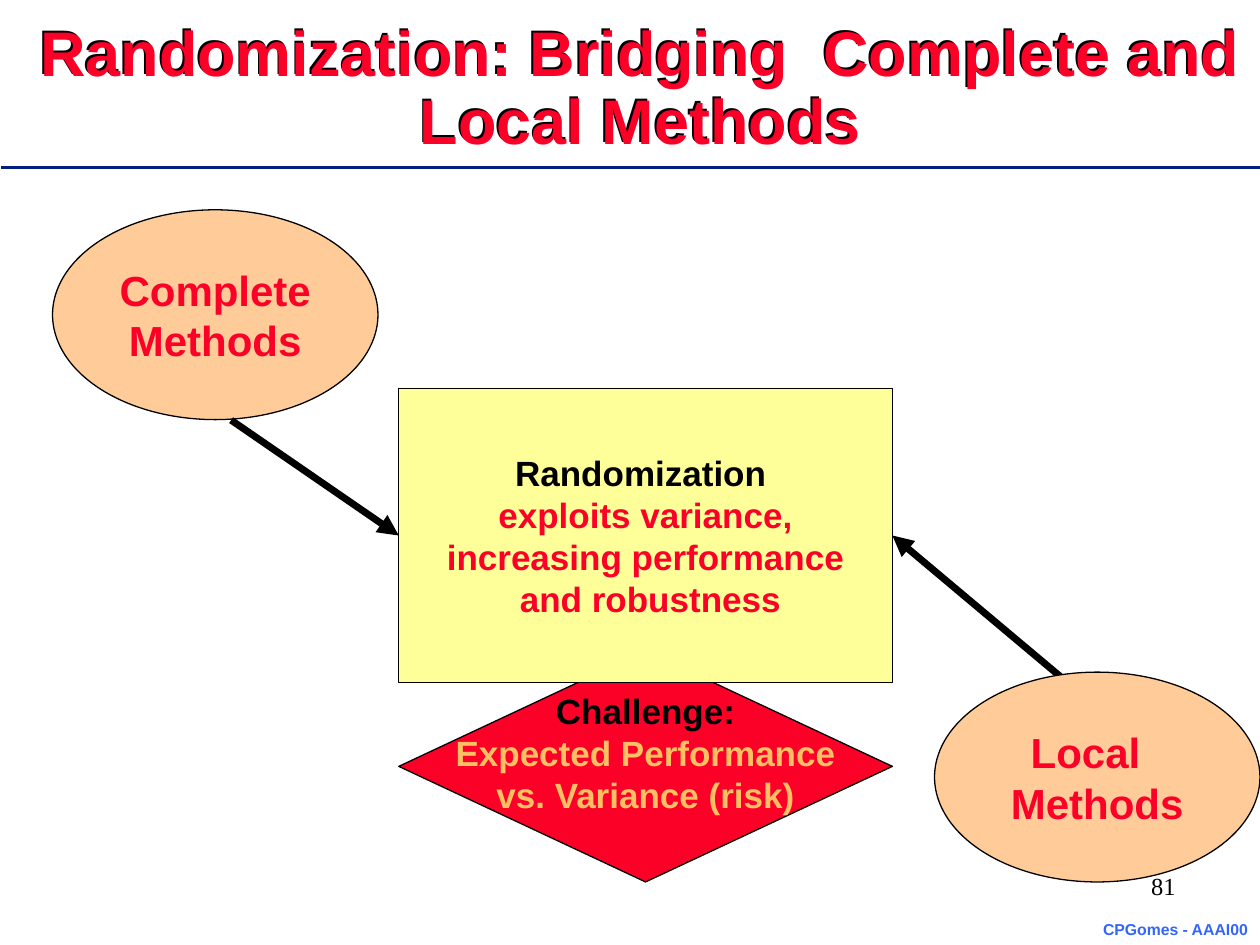
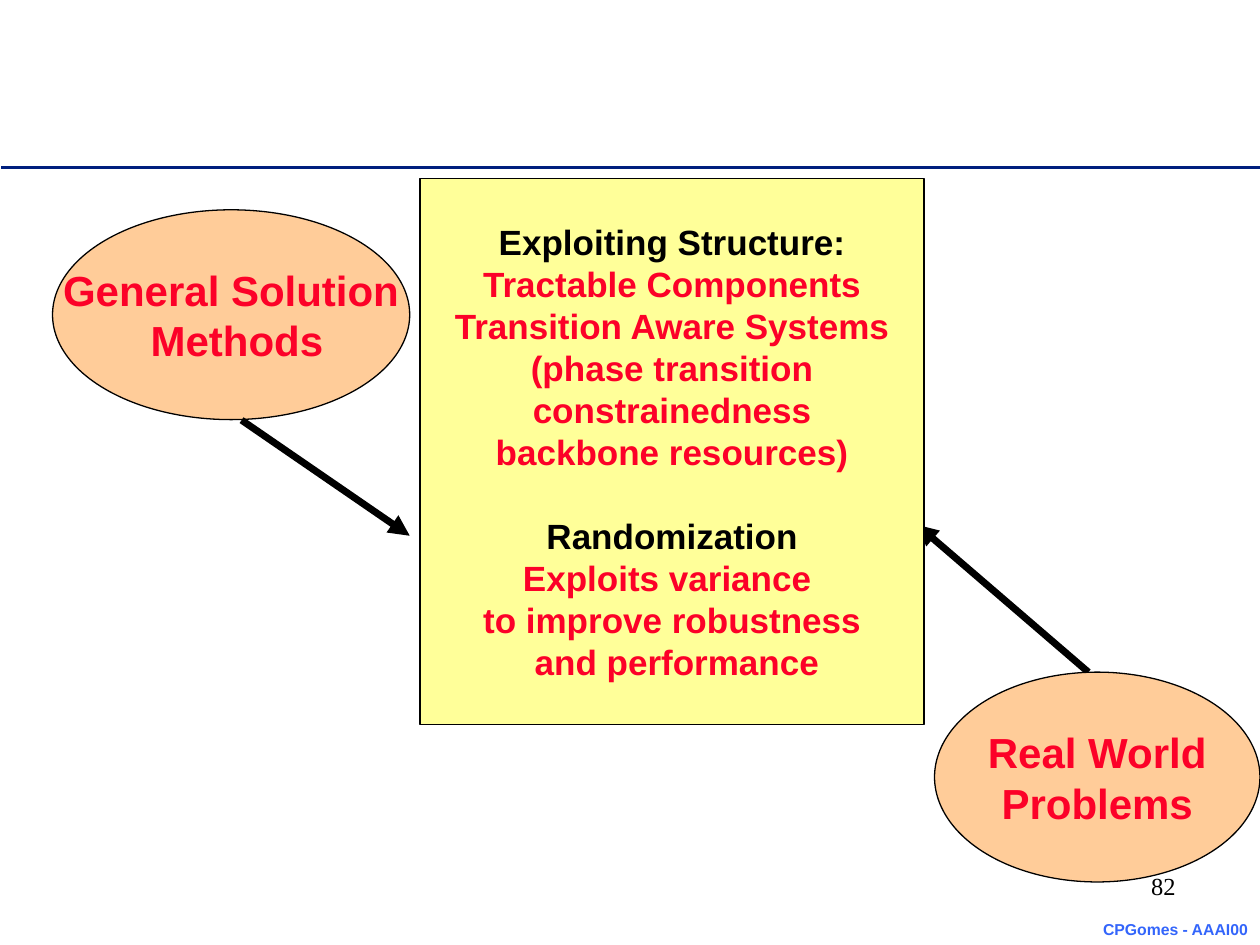
from dataclasses import dataclass

from lxml import etree
from pptx import Presentation
from pptx.dml.color import RGBColor
from pptx.enum.shapes import MSO_CONNECTOR, MSO_SHAPE
from pptx.enum.text import MSO_ANCHOR, PP_ALIGN
from pptx.oxml.ns import qn
from pptx.shapes.autoshape import Shape
from pptx.shapes.connector import Connector
from pptx.shapes.shapetree import GroupShapes, SlideShapes
from pptx.slide import Slide
from pptx.text.text import TextFrame
from pptx.util import Cm, Pt

STRAIGHT = MSO_CONNECTOR.STRAIGHT
ELLIPSE, RECTANGLE, DIAMOND = MSO_SHAPE.OVAL, MSO_SHAPE.RECTANGLE, MSO_SHAPE.DIAMOND
CENTER, RIGHT = PP_ALIGN.CENTER, PP_ALIGN.RIGHT
MIDDLE, TOP = MSO_ANCHOR.MIDDLE, MSO_ANCHOR.TOP
TITLE_ONLY, BLANK = 5, 6
LEFT_SIDE, RIGHT_SIDE = 1, 3

COLORS = {
    "red": "FC0128",
    "black": "000000",
    "navy": "001F7E",
    "blue": "3365FB",
    "peach": "FFCC99",
    "yellow": "FFFF99",
    "gold": "FFC063",
}


@dataclass(frozen=True)
class Box:
    left: float
    top: float
    width: float
    height: float

    def lengths(self) -> tuple[Cm, Cm, Cm, Cm]:
        return Cm(self.left), Cm(self.top), Cm(self.width), Cm(self.height)


@dataclass(frozen=True)
class Style:
    size: float
    color: str
    font: str = "Arial"
    bold: bool = True
    align: PP_ALIGN = CENTER


@dataclass(frozen=True)
class Line:
    text: str
    style: Style
    space_before: float = 0


@dataclass(frozen=True)
class Arrow:
    start: tuple[float, float]
    end: tuple[float, float]


TITLE = Style(36, "red")
METHOD = Style(24, "red")
HEADING = Style(20, "black")
DETAIL = Style(20, "red")
RISK = Style(20, "gold")
FOOTER = Style(9, "blue")
PAGE_NUMBER = Style(14, "black", "Times New Roman", False, RIGHT)

TITLE_BOX = Box(-0.64, 0.64, 27.1, 2.34)
FOOTER_BOX = Box(21.97, 18.42, 3.45, 0.64)
NUMBER_BOX = Box(18.2, 17.43, 5.75, 0.84)
LOWER_RIGHT_BOX = Box(18.84, 13.55, 6.56, 4.23)


def color(name: str) -> RGBColor:
    return RGBColor.from_string(COLORS[name])


def lines(style: Style, *texts: str) -> list[Line]:
    return [Line(text, style) for text in texts]


def write(frame: TextFrame, content: list[Line], anchor: MSO_ANCHOR = MIDDLE,
          wrap: bool = False) -> None:
    frame.word_wrap = wrap
    frame.vertical_anchor = anchor
    for index, line in enumerate(content):
        paragraph = frame.add_paragraph() if index else frame.paragraphs[0]
        paragraph.alignment = line.style.align
        if line.space_before:
            paragraph.space_before = Pt(line.space_before)
        run = paragraph.add_run()
        run.text = line.text
        run.font.name = line.style.font
        run.font.size = Pt(line.style.size)
        run.font.bold = line.style.bold
        run.font.color.rgb = color(line.style.color)


def add_text(shapes: SlideShapes | GroupShapes, box: Box, content: list[Line],
             anchor: MSO_ANCHOR = MIDDLE, wrap: bool = False) -> None:
    write(shapes.add_textbox(*box.lengths()).text_frame, content, anchor, wrap)


def add_figure(shapes: SlideShapes | GroupShapes, kind: MSO_SHAPE, box: Box,
               fill: str, content: list[Line]) -> Shape:
    shape = shapes.add_shape(kind, *box.lengths())
    shape.shadow.inherit = False
    shape.fill.solid()
    shape.fill.fore_color.rgb = color(fill)
    shape.line.color.rgb = color("black")
    shape.line.width = Pt(0.75)
    if content:
        write(shape.text_frame, content)
    return shape


def add_line(slide: Slide, course: Arrow, color_name: str, width: float) -> Connector:
    connector = slide.shapes.add_connector(
        STRAIGHT, *(Cm(value) for value in course.start + course.end))
    connector.line.color.rgb = color(color_name)
    connector.line.width = Pt(width)
    etree.SubElement(connector._element.spPr, qn("a:effectLst"))
    return connector


def add_arrow(slide: Slide, course: Arrow) -> Connector:
    connector = add_line(slide, course, "black", 4)
    etree.SubElement(connector.line._get_or_add_ln(), qn("a:tailEnd"), type="triangle")
    return connector


def add_title(slide: Slide, text: str) -> None:
    """Fill the title placeholder and give its letters a black shadow."""
    title = slide.shapes.title
    title.left, title.top, title.width, title.height = TITLE_BOX.lengths()
    write(title.text_frame, lines(TITLE, text), wrap=True)
    title.text_frame.paragraphs[0].line_spacing = 0.9
    effects = etree.SubElement(title._element.spPr, qn("a:effectLst"))
    shadow = etree.SubElement(effects, qn("a:outerShdw"), dist="17961", dir="13500000")
    etree.SubElement(shadow, qn("a:srgbClr"), val=COLORS["black"])


def add_frame(slide: Slide) -> None:
    """Draw the rule and footer that every slide carries."""
    add_line(slide, Arrow((0.03, 3.38), (25.4, 3.38)), "navy", 2)
    add_text(slide.shapes, FOOTER_BOX, lines(FOOTER, "CPGomes - AAAI00"), TOP)


def add_page_number(slide: Slide, number: int) -> None:
    add_text(slide.shapes, NUMBER_BOX, lines(PAGE_NUMBER, str(number)), wrap=True)


def add_bridge(slide: Slide, upper_width: float, upper: list[Line], lower: list[Line],
               arrows: tuple[Arrow, Arrow], bridge_box: Box,
               bridge: list[Line]) -> tuple[Shape, list[Connector]]:
    """Draw two ellipses with arrows towards the box between them."""
    upper_box = Box(1.06, 4.23, upper_width, 4.23)
    add_figure(slide.shapes, ELLIPSE, upper_box, "peach", upper)
    connectors = [add_arrow(slide, arrow) for arrow in arrows]
    add_figure(slide.shapes, ELLIPSE, LOWER_RIGHT_BOX, "peach", lower)
    rectangle = add_figure(slide.shapes, RECTANGLE, bridge_box, "yellow", bridge)
    return rectangle, connectors


def build_randomization(presentation: Presentation) -> None:
    slide = presentation.slides.add_slide(presentation.slide_layouts[TITLE_ONLY])
    add_frame(slide)
    add_title(slide, "Randomization: Bridging  Complete and Local Methods")
    challenge = slide.shapes.add_group_shape().shapes
    add_figure(challenge, DIAMOND, Box(8.04, 13.12, 9.95, 4.66), "red", [])
    add_text(challenge, Box(8.04, 13.77, 9.95, 2.79),
             lines(HEADING, "Challenge:")
             + lines(RISK, "Expected Performance", "vs. Variance (risk)"), wrap=True)
    rectangle, (from_complete, from_local) = add_bridge(
        slide, 6.56,
        lines(METHOD, "Complete", "Methods"),
        lines(METHOD, "Local  ", "Methods"),
        (Arrow((4.66, 8.47), (8.04, 10.8)), Arrow((21.52, 13.76), (18.06, 10.8))),
        Box(8.04, 7.83, 9.95, 5.93),
        lines(HEADING, "Randomization ")
        + lines(DETAIL, "exploits variance,", "increasing performance", " and robustness"),
    )
    from_complete.end_connect(rectangle, LEFT_SIDE)
    from_local.end_connect(rectangle, RIGHT_SIDE)
    add_page_number(slide, 81)


def build_structure(presentation: Presentation) -> None:
    slide = presentation.slides.add_slide(presentation.slide_layouts[BLANK])
    add_frame(slide)
    add_bridge(
        slide, 7.2,
        lines(METHOD, "General Solution", " Methods"),
        lines(METHOD, "Real World", "Problems"),
        (Arrow((4.87, 8.47), (8.26, 10.8)), Arrow((21.94, 13.55), (18.49, 10.58))),
        Box(8.47, 3.6, 10.16, 11),
        lines(HEADING, "Exploiting Structure:")
        + lines(DETAIL, "Tractable Components", "Transition Aware Systems",
                "(phase transition", "constrainedness", "backbone resources)")
        + [Line("Randomization", HEADING, space_before=24)]
        + lines(DETAIL, "Exploits variance ", "to improve robustness", " and performance"),
    )
    add_page_number(slide, 82)


def main() -> None:
    presentation = Presentation()
    presentation.slide_width, presentation.slide_height = Cm(25.4), Cm(19.05)
    build_randomization(presentation)
    build_structure(presentation)
    presentation.save("out.pptx")


if __name__ == "__main__":
    main()
